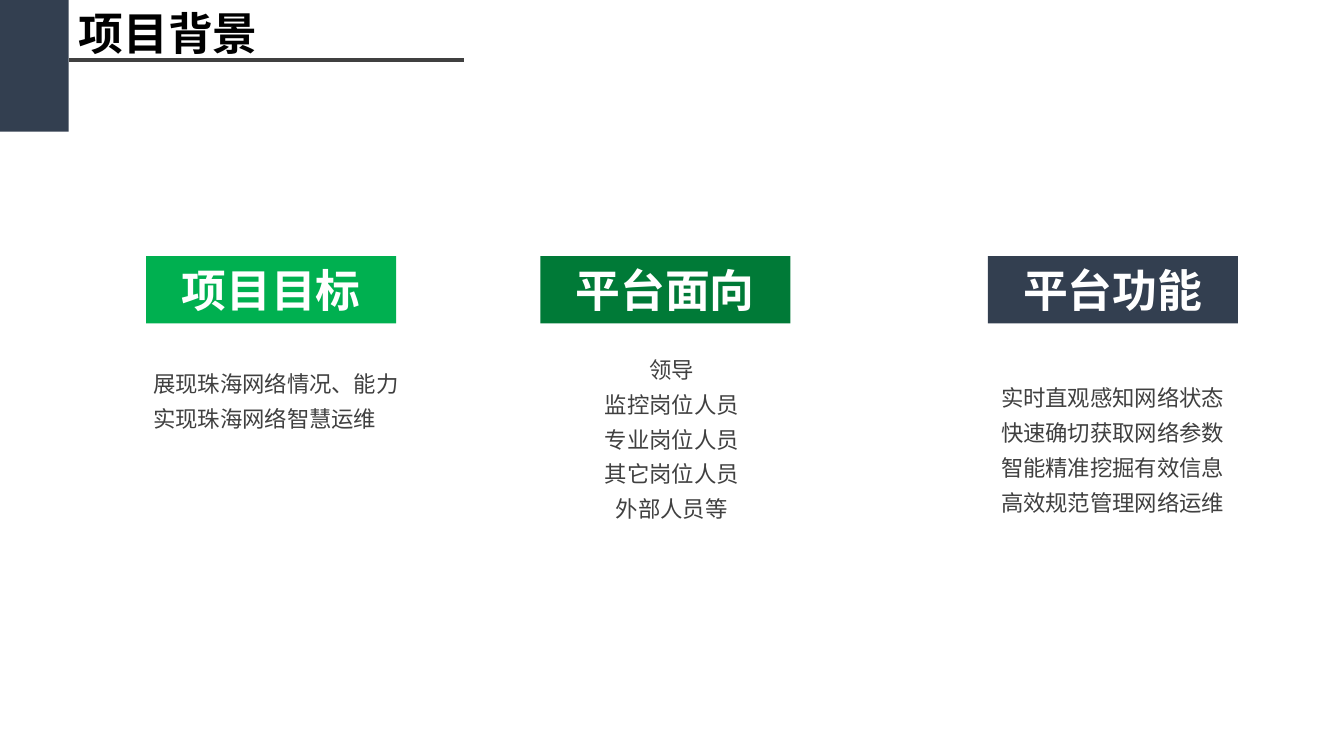
from lxml import etree
from pptx import Presentation
from pptx.dml.color import RGBColor
from pptx.enum.shapes import MSO_CONNECTOR, MSO_SHAPE
from pptx.enum.text import MSO_ANCHOR, MSO_AUTO_SIZE, PP_ALIGN
from pptx.oxml.ns import qn
from pptx.util import Inches, Pt

RECT = MSO_SHAPE.RECTANGLE
STRAIGHT = MSO_CONNECTOR.STRAIGHT
MIDDLE = MSO_ANCHOR.MIDDLE
GROW = MSO_AUTO_SIZE.SHAPE_TO_FIT_TEXT
LEFT, CENTER = PP_ALIGN.LEFT, PP_ALIGN.CENTER
UNIT = Inches(7.5) / 54
HAN = "Noto Sans CJK SC"
NAVY, GRAY = "333F50", "404040"
TOP, WIDE, HIGH = 18.29, 17.86, 4.82

TOPICS = [
    ("项目目标", "00B050", 10.44, (10.44, 25.56, 27.43), LEFT,
     ["展现珠海网络情况、能力", "实现珠海网络智慧运维"]),
    ("平台面向", "007A37", 38.59, (39.24, 24.55, 17.5), CENTER,
     ["领导", "监控岗位人员", "专业岗位人员", "其它岗位人员", "外部人员等"]),
    ("平台功能", NAVY, 70.56, (65.3, 26.57, 28.37), CENTER,
     ["实时直观感知网络状态", "快速确切获取网络参数",
      "智能精准挖掘有效信息", "高效规范管理网络运维"]),
]


def grid(*cells):
    """Turn cells of the 96 by 54 grid into lengths."""
    return [round(cell * UNIT) for cell in cells]


def color(code):
    """Turn a hex string into a colour."""
    return RGBColor.from_string(code)


def write(frame, lines, size, tint, bold=False, font=HAN, align=LEFT, space=None):
    """Write one paragraph per line."""
    frame.word_wrap = True
    for i, line in enumerate(lines):
        para = frame.add_paragraph() if i else frame.paragraphs[0]
        para.alignment = align
        para.line_spacing = space
        run = para.add_run()
        run.text = line
        run.font.size = Pt(size)
        run.font.bold = bold
        run.font.name = font
        run.font.color.rgb = color(tint)
        east = etree.SubElement(run.font._element, qn("a:ea"))
        east.set("typeface", HAN)


def block(slide, box, fill):
    """Add a plain filled rectangle."""
    shape = slide.shapes.add_shape(RECT, *grid(*box))
    shape.shadow.inherit = False
    shape.fill.solid()
    shape.fill.fore_color.rgb = color(fill)
    shape.line.fill.background()
    return shape


def rule(slide, start, end):
    """Add the line under the title."""
    line = slide.shapes.add_connector(STRAIGHT, *grid(*start, *end))
    line.line.color.rgb = color(GRAY)
    line.line.width = Pt(3)
    etree.SubElement(line._element.spPr, qn("a:effectLst"))


def label(slide, box, lines, inset=None, **style):
    """Add a text box that grows with its text."""
    frame = slide.shapes.add_textbox(*grid(*box)).text_frame
    if inset:
        side, edge = grid(*inset)
        frame.margin_left = frame.margin_right = side
        frame.margin_top = frame.margin_bottom = edge
    write(frame, lines, **style)
    frame.auto_size = GROW


def topic(slide, name, fill, left, place, align, lines):
    """Add a coloured heading and the lines below it."""
    head = block(slide, (left, TOP, WIDE, HIGH), fill).text_frame
    head.vertical_anchor = MIDDLE
    write(head, [name], 32, "FFFFFF", bold=True, font="Calibri", align=CENTER)
    tall = 2.59 * len(lines) + 0.15
    label(slide, (*place, tall), lines, inset=(0.5, 0.29),
          size=16, tint=GRAY, align=align, space=1.3)


def main():
    """Build and save the slide."""
    deck = Presentation()
    deck.slide_width, deck.slide_height = grid(96, 54)
    slide = deck.slides.add_slide(deck.slide_layouts[6])
    block(slide, (0, 0, 4.9, 9.4), NAVY)
    rule(slide, (4.9, 4.27), (33.15, 4.27))
    label(slide, (4.9, 0.07, 14.47, 4.61), ["项目背景"],
          size=32, tint="000000", bold=True)
    for item in TOPICS:
        topic(slide, *item)
    deck.save("out.pptx")


if __name__ == "__main__":
    main()
